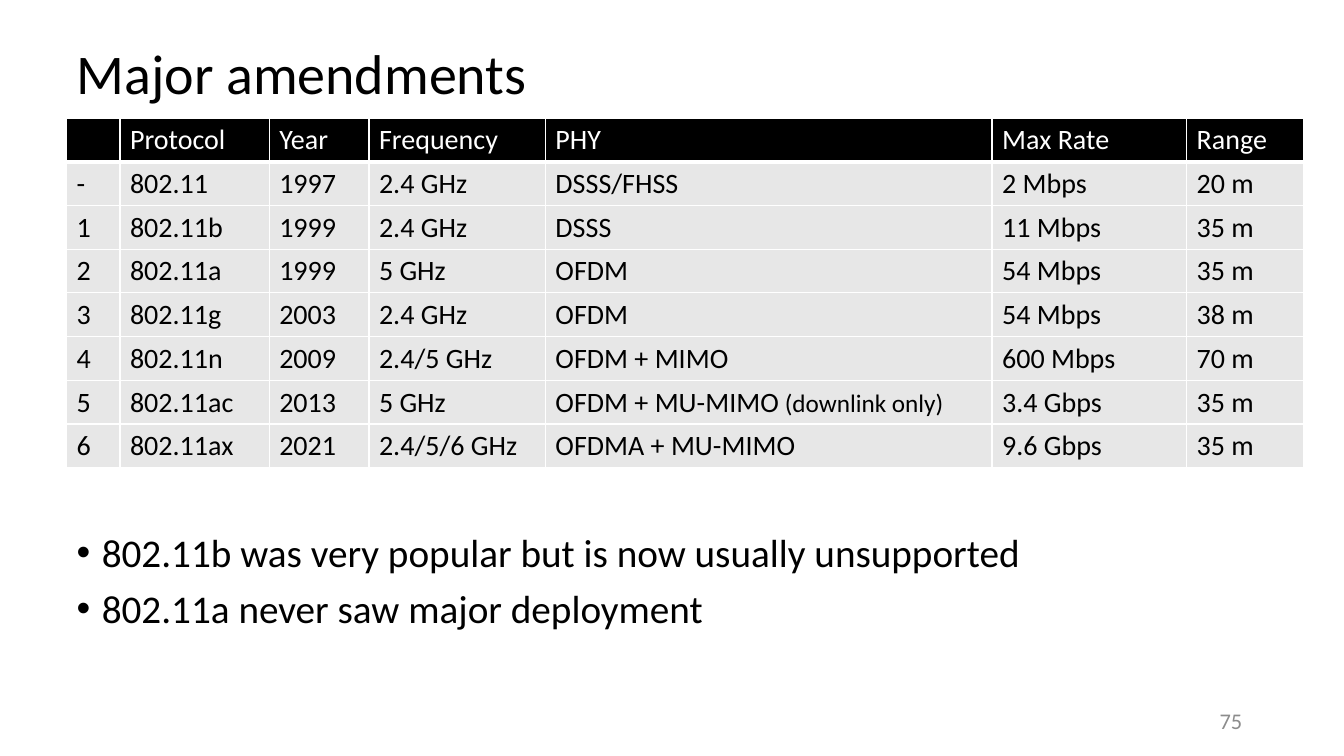
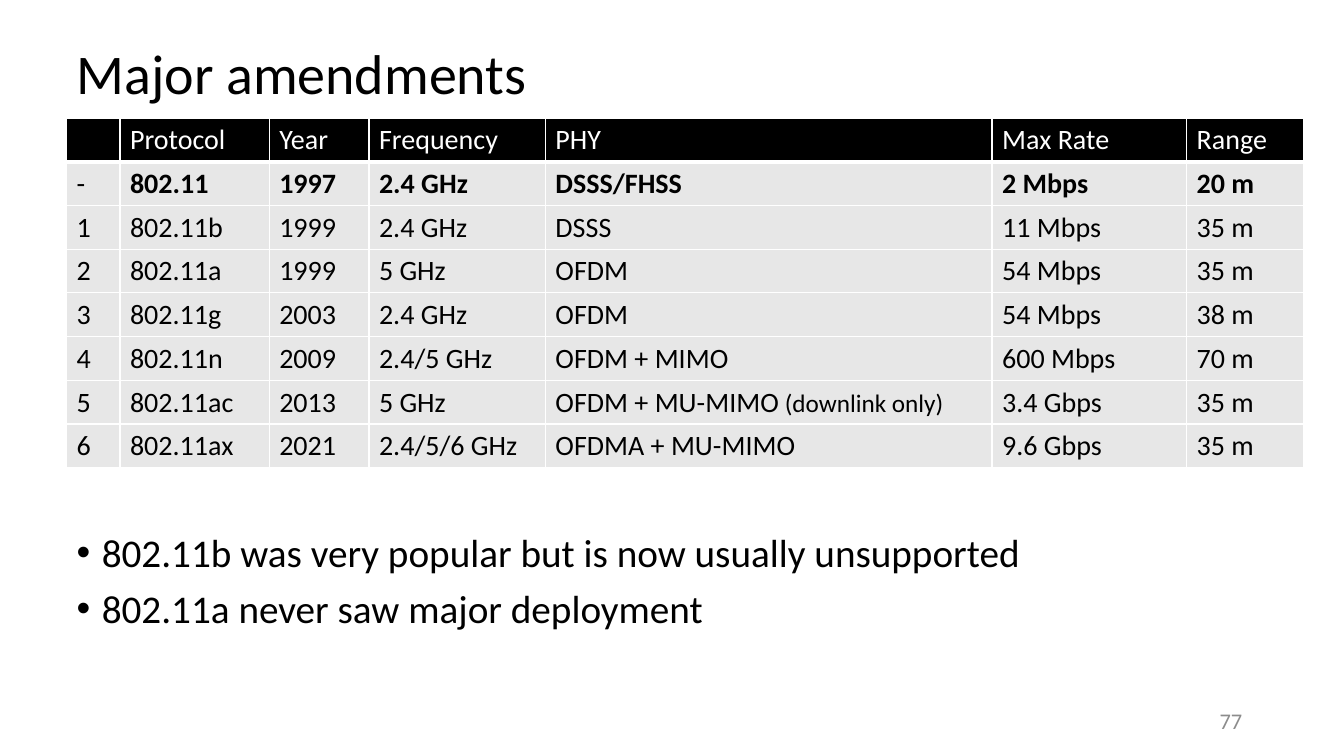
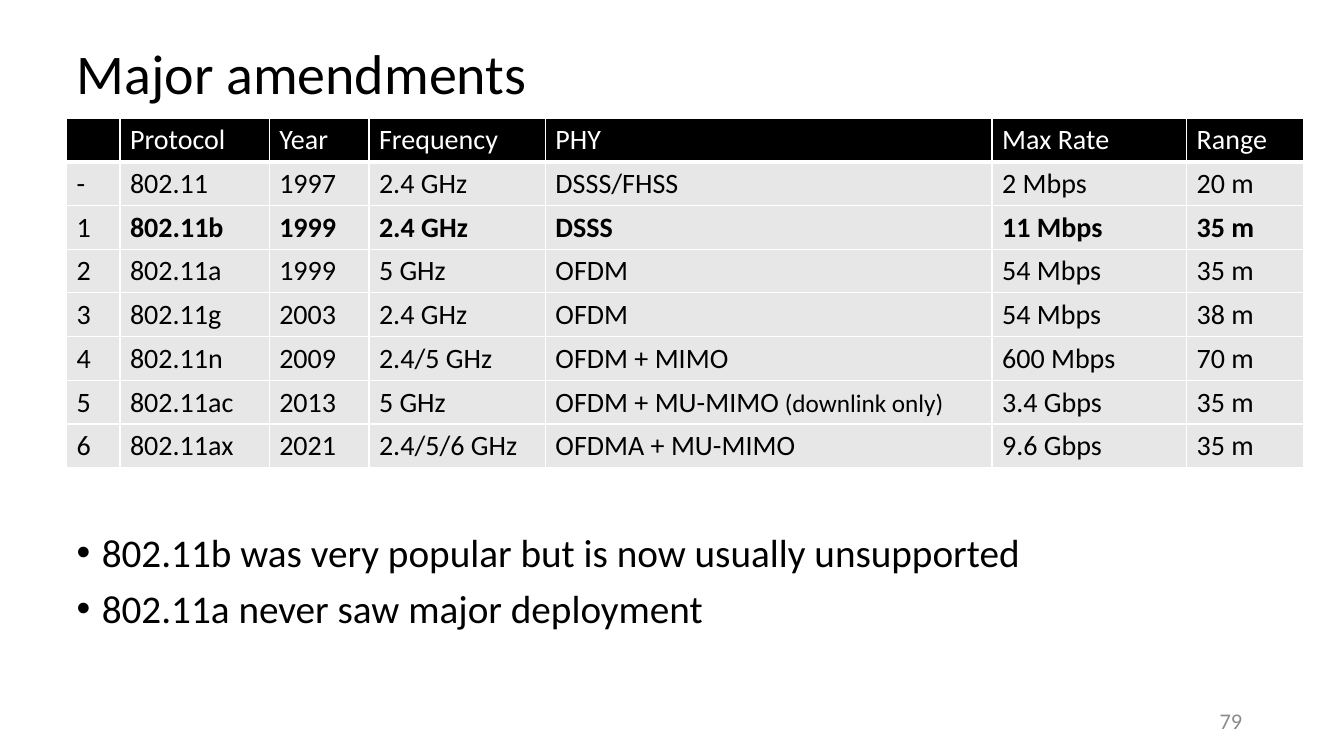
from dataclasses import dataclass

from lxml.etree import SubElement
from pptx import Presentation
from pptx.dml.color import RGBColor
from pptx.enum.text import MSO_ANCHOR, MSO_AUTO_SIZE, PP_ALIGN
from pptx.oxml import parse_xml
from pptx.oxml.ns import nsdecls, qn
from pptx.util import Inches, Pt

BLACK = RGBColor(0x00, 0x00, 0x00)
WHITE = RGBColor(0xFF, 0xFF, 0xFF)
CELL_GREY = RGBColor(0xE7, 0xE7, 0xE7)
NUMBER_GREY = RGBColor(0x8C, 0x8C, 0x8C)

FONT = "Calibri"
LEFT = 0.66
TITLE = "Major amendments"
BULLETS = (
    "802.11b was very popular but is now usually unsupported",
    "802.11a never saw major deployment",
)
COLUMN_WIDTHS = (0.53, 1.48, 0.99, 1.75, 4.43, 1.93, 1.16)


@dataclass(frozen=True)
class Span:
    text: str
    size: int = 20
    bold: bool = False
    color: RGBColor = BLACK


@dataclass(frozen=True)
class Amendment:
    generation: str
    protocol: str
    year: str
    frequency: str
    phy: str
    rate: str
    reach: str
    phy_note: str = ""

    def cells(self) -> tuple[str, ...]:
        return (self.generation, self.protocol, self.year, self.frequency,
                self.phy, self.rate, self.reach)


@dataclass(frozen=True)
class Page:
    number: int
    bold_protocol: str = ""


HEADER = Amendment("", "Protocol", "Year", "Frequency", "PHY", "Max Rate", "Range")
AMENDMENTS = (
    Amendment("-", "802.11", "1997", "2.4 GHz", "DSSS/FHSS", "2 Mbps", "20 m"),
    Amendment("1", "802.11b", "1999", "2.4 GHz", "DSSS", "11 Mbps", "35 m"),
    Amendment("2", "802.11a", "1999", "5 GHz", "OFDM", "54 Mbps", "35 m"),
    Amendment("3", "802.11g", "2003", "2.4 GHz", "OFDM", "54 Mbps", "38 m"),
    Amendment("4", "802.11n", "2009", "2.4/5 GHz", "OFDM + MIMO", "600 Mbps", "70 m"),
    Amendment("5", "802.11ac", "2013", "5 GHz", "OFDM + MU-MIMO", "3.4 Gbps", "35 m",
              phy_note=" (downlink only)"),
    Amendment("6", "802.11ax", "2021", "2.4/5/6 GHz", "OFDMA + MU-MIMO", "9.6 Gbps", "35 m"),
)
PHY_COLUMN = HEADER.cells().index("PHY")
PAGES = (Page(75), Page(77, "802.11"), Page(79, "802.11b"))


def apply(target, **values) -> None:
    """Set each named attribute of the target."""
    for name, value in values.items():
        setattr(target, name, value)


def add_span(paragraph, span: Span) -> None:
    run = paragraph.add_run()
    run.text = span.text
    apply(run.font, name=FONT, size=Pt(span.size), bold=span.bold)
    run.font.color.rgb = span.color


def place(shape, left: float, top: float, width: float, height: float) -> None:
    apply(shape, left=Inches(left), top=Inches(top),
          width=Inches(width), height=Inches(height))


def add_title(slide) -> None:
    title = slide.shapes.title
    place(title, LEFT, 0.03, 11.5, 1.45)
    apply(title.text_frame, vertical_anchor=MSO_ANCHOR.MIDDLE,
          auto_size=MSO_AUTO_SIZE.NONE)
    paragraph = title.text_frame.paragraphs[0]
    apply(paragraph, alignment=PP_ALIGN.LEFT, line_spacing=0.9)
    add_span(paragraph, Span(TITLE, 40))


def add_bullets(slide) -> None:
    body = slide.placeholders[1]
    place(body, LEFT, 5.24, 12, 2.11)
    frame = body.text_frame
    apply(frame, vertical_anchor=MSO_ANCHOR.TOP, auto_size=MSO_AUTO_SIZE.NONE)
    for index, text in enumerate(BULLETS):
        paragraph = frame.add_paragraph() if index else frame.paragraphs[0]
        properties = paragraph._p.get_or_add_pPr()
        properties.set("marL", str(Inches(0.25)))
        properties.set("indent", str(-Inches(0.25)))
        SubElement(properties, qn("a:buFont")).set("typeface", "Arial")
        SubElement(properties, qn("a:buChar")).set("char", "•")
        apply(paragraph, line_spacing=0.9, space_before=Pt(10 if index else 0))
        add_span(paragraph, Span(text, 28))


def add_page_number(slide, number: int) -> None:
    box = slide.shapes.add_textbox(Inches(9.42), Inches(6.95), Inches(3), Inches(0.4))
    apply(box.text_frame, word_wrap=True, vertical_anchor=MSO_ANCHOR.MIDDLE)
    paragraph = box.text_frame.paragraphs[0]
    paragraph.alignment = PP_ALIGN.RIGHT
    add_span(paragraph, Span(str(number), 16, color=NUMBER_GREY))


def set_borders(cell, bottom: int) -> None:
    """Draw white borders of 1 point, with a bottom one of the given width."""
    properties = cell._tc.get_or_add_tcPr()
    for index, (side, width) in enumerate((("L", 1), ("R", 1), ("T", 1), ("B", bottom))):
        properties.insert(index, parse_xml(
            f'<a:ln{side} {nsdecls("a")} w="{Pt(width)}"><a:solidFill>'
            f'<a:srgbClr val="{WHITE}"/></a:solidFill></a:ln{side}>'))


def fill_row(table, row: int, amendment: Amendment, bold: bool) -> None:
    """Write one row; the generation number is never bold."""
    is_header = row == 0
    color = WHITE if is_header else BLACK
    for column, text in enumerate(amendment.cells()):
        cell = table.cell(row, column)
        cell.fill.solid()
        cell.fill.fore_color.rgb = BLACK if is_header else CELL_GREY
        set_borders(cell, bottom=3 if is_header else 1)
        paragraph = cell.text_frame.paragraphs[0]
        if text:
            add_span(paragraph, Span(text, bold=bold and column > 0, color=color))
        if column == PHY_COLUMN and amendment.phy_note:
            add_span(paragraph, Span(amendment.phy_note, 18, bold, color))


def add_amendment_table(slide, bold_protocol: str) -> None:
    rows = (HEADER, *AMENDMENTS)
    table = slide.shapes.add_table(
        len(rows), len(COLUMN_WIDTHS), Inches(LEFT), Inches(1.17),
        Inches(sum(COLUMN_WIDTHS)), Inches(3.47)).table
    table.horz_banding = False
    for column, width in zip(table.columns, COLUMN_WIDTHS):
        column.width = Inches(width)
    for index, amendment in enumerate(rows):
        fill_row(table, index, amendment, amendment.protocol == bold_protocol)


def main() -> None:
    deck = Presentation()
    apply(deck, slide_width=Inches(13.33), slide_height=Inches(7.5))
    for page in PAGES:
        slide = deck.slides.add_slide(deck.slide_layouts[1])
        add_title(slide)
        add_bullets(slide)
        add_page_number(slide, page.number)
        add_amendment_table(slide, page.bold_protocol)
    deck.save("out.pptx")


if __name__ == "__main__":
    main()
